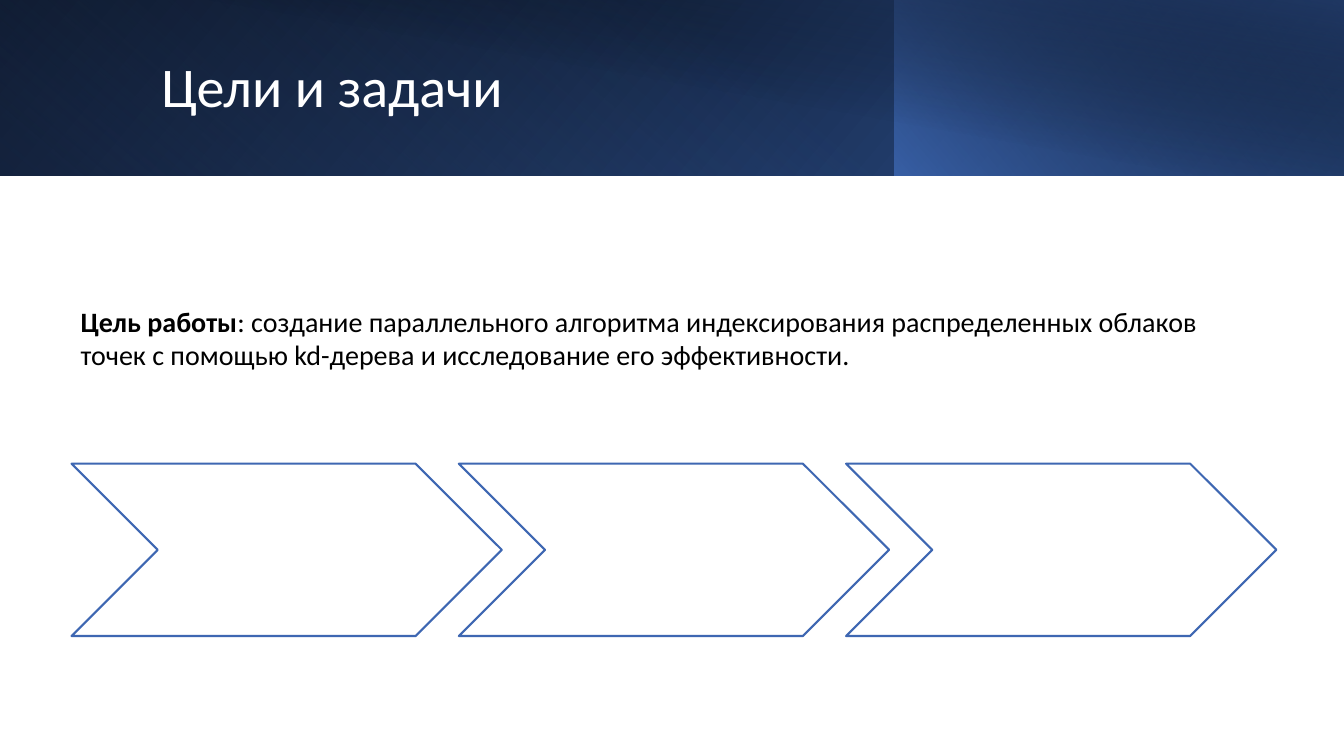
from lxml.etree import SubElement
from pptx import Presentation
from pptx.dml.color import RGBColor
from pptx.enum.shapes import MSO_SHAPE
from pptx.enum.text import MSO_ANCHOR, MSO_AUTO_SIZE, PP_ALIGN
from pptx.oxml.ns import qn
from pptx.util import Inches, Pt

COLORS = {
    "black": "000000",
    "white": "FFFFFF",
    "blue": "4472C4",
    "deep": "2F5597",
    "navy": "203864",
    "outline": "3E67B2",
}
FONT = "Calibri"


def rgb(name):
    """Return the named palette colour."""
    return RGBColor.from_string(COLORS[name])


def add_run(p, text, size, color, bold=False):
    """Add one formatted run to a paragraph."""
    r = p.add_run()
    r.text = text
    r.font.name = FONT
    r.font.size = Pt(size)
    r.font.bold = bold
    r.font.color.rgb = rgb(color)


def add_gradient(s, left, top, width, height, angle, stops):
    """Add a rectangle with a gradient of (position, colour, opacity) stops."""
    sp = s.shapes.add_shape(MSO_SHAPE.RECTANGLE, Inches(left), Inches(top),
                            Inches(width), Inches(height))
    sp.shadow.inherit = False
    sp.line.fill.background()
    sp.fill.gradient()
    sp.fill.gradient_angle = angle
    for stop, (position, color, opacity) in zip(sp.fill.gradient_stops, stops):
        stop.position = position / 100
        stop.color.rgb = rgb(color)
    for clr, (_, _, opacity) in zip(sp._element.spPr.iter(qn("a:srgbClr")), stops):
        if opacity < 100:
            SubElement(clr, qn("a:alpha")).set("val", str(opacity * 1000))


def add_banner(s, left, top, width, height):
    """Draw the layered gradient banner with the slide title on it."""
    split = 8.87
    add_gradient(s, left, top, width, height, 320,
                 [(0, "black", 100), (100, "deep", 100)])
    add_gradient(s, left, top, split, height, 230,
                 [(20, "blue", 0), (100, "navy", 55)])
    add_gradient(s, left + split, top, width - split, height, 40,
                 [(0, "blue", 66), (100, "black", 30)])
    add_gradient(s, left + 0.5, top, width - 0.5, height, 80,
                 [(50, "black", 0), (99, "navy", 52)])

    title = s.shapes.title
    title.left, title.top = Inches(left + 1.5), Inches(top + 0.32)
    title.width, title.height = Inches(10.82), Inches(1.13)
    s.shapes._spTree.append(title._element)
    tf = title.text_frame
    tf.auto_size = MSO_AUTO_SIZE.NONE
    tf.vertical_anchor = MSO_ANCHOR.MIDDLE
    p = tf.paragraphs[0]
    p.alignment = PP_ALIGN.LEFT
    p.line_spacing = 0.9
    add_run(p, "Цели и задачи", 40, "white")


def add_goal(s, left, top, width, height):
    """Write the statement of the goal."""
    tf = s.shapes.add_textbox(Inches(left), Inches(top),
                              Inches(width), Inches(height)).text_frame
    tf.word_wrap = True
    tf.auto_size = MSO_AUTO_SIZE.SHAPE_TO_FIT_TEXT
    p = tf.paragraphs[0]
    add_run(p, "Цель работы", 20, "black", bold=True)
    add_run(p, ": создание параллельного алгоритма индексирования распределенных "
               "облаков точек с помощью kd-дерева и исследование его эффективности.",
            20, "black")


def add_chevrons(s, left, top, width, height, count=3):
    """Draw a grouped row of chevrons, each overlapping the next by a tenth."""
    chevron_width = width / (count - 0.1 * (count - 1))
    group = s.shapes.add_group_shape()
    for i in range(count):
        sp = group.shapes.add_shape(
            MSO_SHAPE.CHEVRON, Inches(left + i * 0.9 * chevron_width), Inches(top),
            Inches(chevron_width), Inches(height))
        sp.shadow.inherit = False
        sp.fill.solid()
        sp.fill.fore_color.rgb = rgb("white")
        sp.line.color.rgb = rgb("outline")
        sp.line.width = Pt(1.5)


def main():
    """Build and save the slide."""
    prs = Presentation()
    prs.slide_width, prs.slide_height = Inches(13.33), Inches(7.5)
    s = prs.slides.add_slide(prs.slide_layouts[5])
    add_banner(s, 0, 0, 13.33, 1.74)
    add_goal(s, 0.7, 2.97, 11.95, 0.77)
    add_chevrons(s, 0.71, 4.6, 11.95, 1.71)
    prs.save("out.pptx")


if __name__ == "__main__":
    main()
